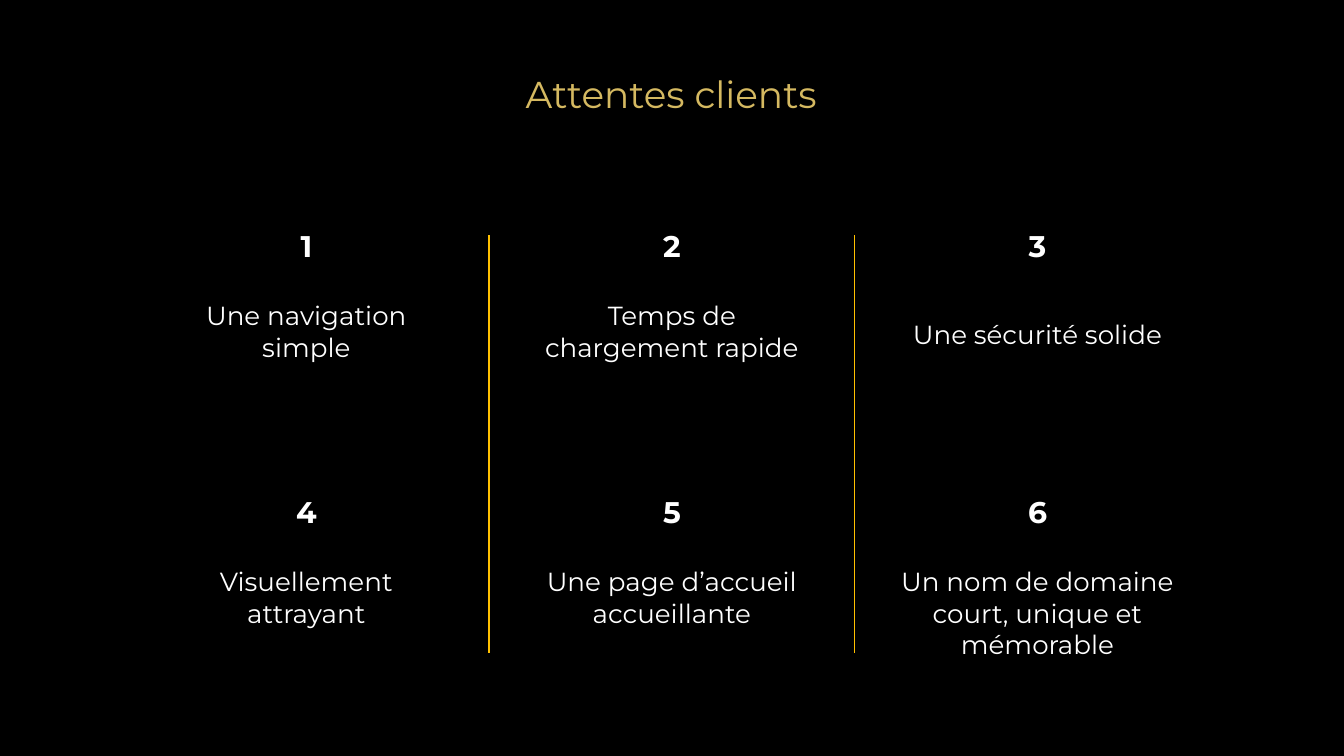
from lxml import etree
from pptx import Presentation
from pptx.dml.color import RGBColor
from pptx.enum.shapes import MSO_CONNECTOR
from pptx.enum.text import MSO_ANCHOR, MSO_AUTO_SIZE, PP_ALIGN
from pptx.oxml.ns import qn
from pptx.util import Inches, Pt

BLACK = RGBColor(0x00, 0x00, 0x00)
WHITE = RGBColor(0xFF, 0xFF, 0xFF)
GOLD = RGBColor(0xD5, 0xB9, 0x61)
YELLOW = RGBColor(0xFF, 0xC0, 0x00)

TITLE = {"size": Pt(20), "bold": False}
NUMBER = {"size": Pt(16), "bold": True}
LABEL = {"size": Pt(14), "bold": False}

EXPECTATIONS = [
    "Une navigation simple",
    "Temps de chargement rapide",
    "Une sécurité solide",
    "Visuellement attrayant",
    "Une page d’accueil accueillante",
    "Un nom de domaine court, unique et mémorable",
]
COLUMN_X, COLUMN_STEP, COLUMN_WIDTH = 1.16, 2.72, 2.24
ROW_Y, ROW_STEP = 1.44, 1.98


def write(sp, text, style, color, anchor):
    tf = sp.text_frame
    frame = {
        "word_wrap": True,
        "auto_size": MSO_AUTO_SIZE.NONE,
        "vertical_anchor": anchor,
        "margin_left": Inches(0.1),
        "margin_right": Inches(0.1),
        "margin_top": Inches(0.1),
        "margin_bottom": Inches(0.1),
    }
    for name, value in frame.items():
        setattr(tf, name, value)
    p = tf.paragraphs[0]
    p.alignment = PP_ALIGN.CENTER
    r = p.add_run()
    r.text = text
    r.font.name = "Montserrat"
    for name, value in style.items():
        setattr(r.font, name, value)
    r.font.color.rgb = color


prs = Presentation()
prs.slide_width = Inches(10)
prs.slide_height = prs.slide_width * 9 // 16
s = prs.slides.add_slide(prs.slide_layouts[5])
s.background.fill.solid()
s.background.fill.fore_color.rgb = BLACK

title = s.shapes.title
title.left, title.top = Inches(3.46), Inches(0.4)
title.width, title.height = Inches(3.07), Inches(0.56)
write(title, "Attentes clients", TITLE, GOLD, MSO_ANCHOR.BOTTOM)

for i, text in enumerate(EXPECTATIONS):
    row, col = divmod(i, 3)
    x = COLUMN_X + col * COLUMN_STEP
    y = ROW_Y + row * ROW_STEP
    label_y = 2.27 if i == 2 else y + 0.69
    number = s.shapes.add_textbox(Inches(x), Inches(y), Inches(COLUMN_WIDTH), Inches(0.62))
    write(number, str(i + 1), NUMBER, WHITE, MSO_ANCHOR.BOTTOM)
    label = s.shapes.add_textbox(Inches(x), Inches(label_y), Inches(COLUMN_WIDTH), Inches(0.95))
    write(label, text, LABEL, WHITE, MSO_ANCHOR.TOP)

for x in (3.64, 6.36):
    divider = s.shapes.add_connector(
        MSO_CONNECTOR.STRAIGHT, Inches(x), Inches(1.75), Inches(x), Inches(4.86)
    )
    divider.line.color.rgb = YELLOW
    divider.line.width = Pt(0.75)
    etree.SubElement(divider._element.spPr, qn("a:effectLst"))

prs.save("out.pptx")
